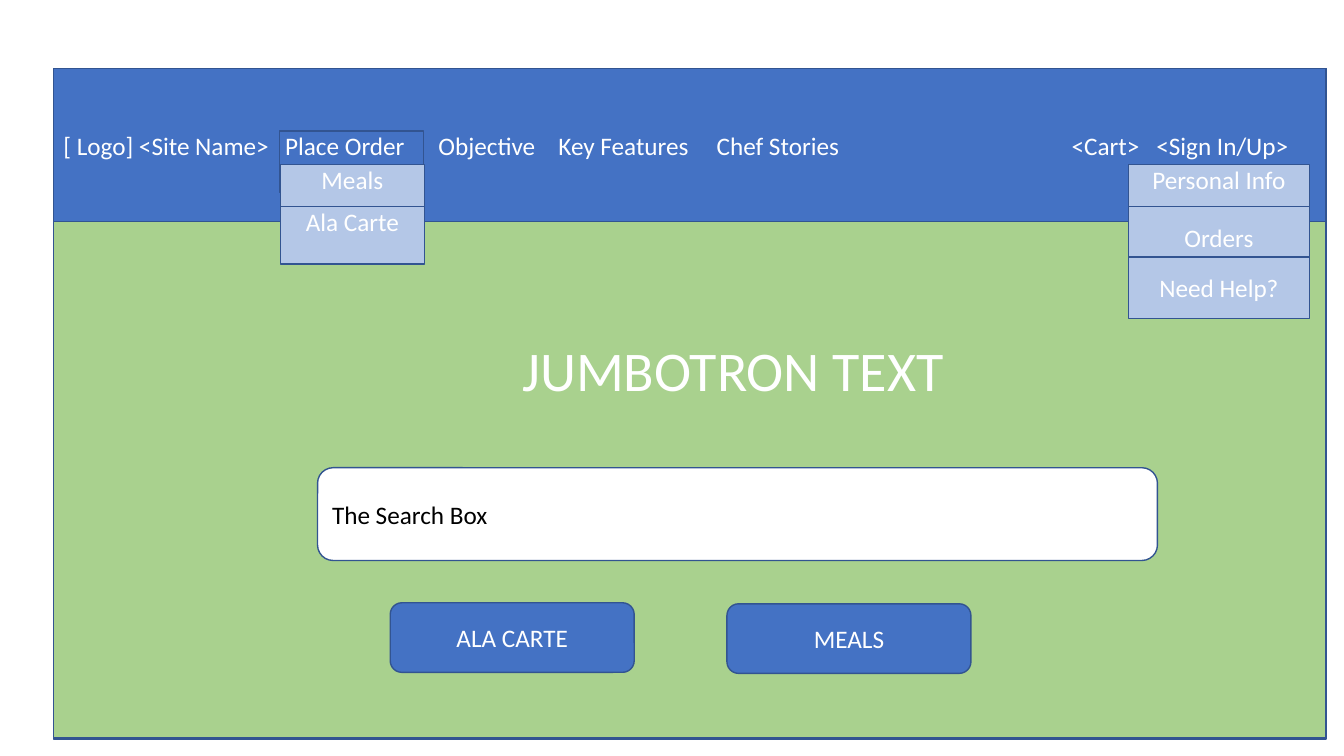
"""Build a wireframe slide of a meal ordering home page."""
import pptx
import pptx.util
import pptx.dml.color
import pptx.enum.shapes
import pptx.enum.text
import pptx.oxml.ns
from lxml import etree

Inches = pptx.util.Inches
RGBColor = pptx.dml.color.RGBColor
SHAPE = pptx.enum.shapes.MSO_SHAPE
ALIGN = pptx.enum.text.PP_ALIGN
ANCHOR = pptx.enum.text.MSO_ANCHOR

WHITE = RGBColor(0xFF, 0xFF, 0xFF)
BLACK = RGBColor(0x00, 0x00, 0x00)
BLUE = RGBColor(0x44, 0x72, 0xC4)
NAVY = RGBColor(0x32, 0x54, 0x91)
PALE_BLUE = RGBColor(0xB4, 0xC7, 0xE7)
GREEN = RGBColor(0xA9, 0xD1, 0x8E)


def set_text(sp, text, size=18, color=WHITE, align=ALIGN.CENTER, **frame):
    """Write one formatted paragraph and return it."""
    tf = sp.text_frame
    values = {"word_wrap": True, "vertical_anchor": ANCHOR.MIDDLE, **frame}
    for name, value in values.items():
        setattr(tf, name, value)
    p = tf.paragraphs[0]
    p.alignment = align
    r = p.add_run()
    r.text = text
    font = {"name": "Calibri", "size": pptx.util.Pt(size)}
    for name, value in font.items():
        setattr(r.font, name, value)
    r.font.color.rgb = color
    return p


def add_box(s, box, fill=None, kind=SHAPE.RECTANGLE):
    """Add an outlined shape, hollow when no fill is given."""
    sp = s.shapes.add_shape(kind, *map(Inches, box))
    sp.shadow.inherit = False
    if fill is None:
        sp.fill.background()
    else:
        sp.fill.solid()
        sp.fill.fore_color.rgb = fill
    sp.line.color.rgb = NAVY
    sp.line.width = pptx.util.Pt(1)
    return sp


def add_navbar(s, box, items):
    """Add the bar with its items set on tab stops."""
    p = set_text(add_box(s, box, BLUE), "\t".join(text for text, _ in items),
                 align=ALIGN.LEFT)
    qn = pptx.oxml.ns.qn
    tabs = etree.SubElement(p._p.get_or_add_pPr(), qn("a:tabLst"))
    for _, stop in items[1:]:
        etree.SubElement(tabs, qn("a:tab"), pos=str(Inches(stop)), algn="l")
    x, y = box[:2]
    add_box(s, (x + 2.24, y + 0.62, 1.43, 0.61))


def add_menu(s, box, items):
    """Add overlapping menu entries at their offsets down the box."""
    x, y, w, h = box
    for text, offset, height, at_top in items:
        sp = add_box(s, (x, y + offset, w, height), PALE_BLUE)
        frame = {"vertical_anchor": ANCHOR.TOP, "margin_top": 0} if at_top else {}
        set_text(sp, text, **frame)


def add_jumbotron(s, box):
    """Add the headline, search box and two buttons."""
    x, y, w, h = box
    headline = s.shapes.add_textbox(
        *map(Inches, (x + 3.05, y + 0.89, 7.38, 1.17)))
    set_text(headline, "JUMBOTRON TEXT", size=40)
    search = add_box(s, (x + 2.62, y + 2.45, 8.33, 0.92), WHITE,
                     SHAPE.ROUNDED_RECTANGLE)
    set_text(search, "The Search Box", color=BLACK, align=ALIGN.LEFT)
    for text, dx, dy in (("ALA CARTE", 3.34, 3.79), ("MEALS", 6.68, 3.8)):
        button = add_box(s, (x + dx, y + dy, 2.42, 0.69), BLUE,
                         SHAPE.ROUNDED_RECTANGLE)
        set_text(button, text)


def build_home_page(s, box):
    """Lay out the page frame, navigation, menus and jumbotron."""
    x, y, w, h = box
    jumbotron = (x, y + 1.51, w, 5.13)
    add_box(s, box, WHITE)
    add_box(s, jumbotron, GREEN)
    add_navbar(s, (x, y, w, 1.52), (
        ("[ Logo] <Site Name>", 0), ("Place Order", 2.2), ("Objective", 3.72),
        ("Key Features", 4.91), ("Chef Stories", 6.48), ("<Cart>", 10),
        ("<Sign In/Up>", 10.84)))
    add_menu(s, (x + 2.25, y + 0.95, 1.43, 0.99), (
        ("Meals", 0, 0.61, True), ("Ala Carte", 0.42, 0.57, True)))
    add_menu(s, (x + 10.66, y + 0.95, 1.8, 1.53), (
        ("Personal Info", 0, 0.61, True), ("Orders", 0.42, 0.61, False),
        ("Need Help?", 0.92, 0.61, False)))
    add_jumbotron(s, jumbotron)


prs = pptx.Presentation()
prs.slide_width, prs.slide_height = Inches(13.33), Inches(7.5)
slide = prs.slides.add_slide(prs.slide_layouts[6])
build_home_page(slide, (0.53, 0.68, 12.62, 6.65))
prs.save("out.pptx")
